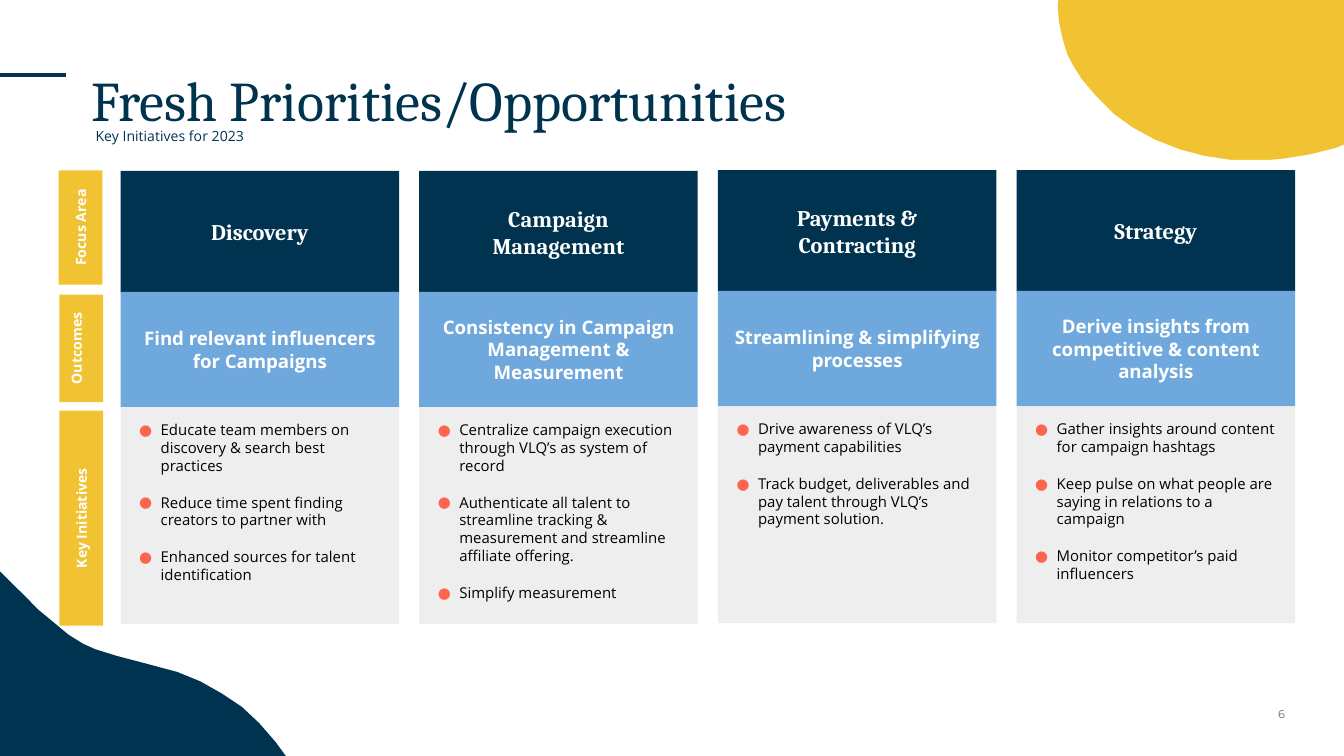
from dataclasses import dataclass

from lxml.etree import SubElement
from pptx import Presentation
from pptx.dml.color import RGBColor
from pptx.enum.shapes import MSO_CONNECTOR, MSO_SHAPE
from pptx.enum.text import MSO_ANCHOR, MSO_AUTO_SIZE, PP_ALIGN
from pptx.oxml.ns import qn
from pptx.util import Pt


@dataclass(frozen=True)
class Theme:
    """Colours, fonts and type sizes of the slide."""
    navy: str = "003350"
    ink: str = "00334E"
    yellow: str = "F1C232"
    blue: str = "6FA8DC"
    pale: str = "EEEEEE"
    white: str = "FFFFFF"
    black: str = "000000"
    grey: str = "666666"
    coral: str = "FF654E"
    serif: str = "Cambria"
    sans: str = "Open Sans"
    number_font: str = "Montserrat"
    title: float = 30
    focus: float = 12
    outcome: float = 10
    initiative: float = 8
    label: float = 7.5
    number: float = 6


THEME = Theme()

NAVY_WAVE = [
    (170.6, 453.6), (167, 438), (161, 419), (155, 407.5), (147.6, 397.4), (138.9, 387.4),
    (129.6, 378.7), (118.8, 371.5), (107.3, 365), (95, 360), (79, 355.7), (62.6, 351.4),
    (51, 347.8), (44.6, 344.9), (36.7, 340), (29.5, 334), (20.9, 326.9), (14.4, 320.4),
    (1.4, 307.4), (-8.6, 297.4), (-17.3, 289.4), (-28.8, 281.5), (-41, 275), (-54, 270.7),
    (-67, 269.3), (-78.5, 271.4), (-91, 277), (-102, 286.6), (-112, 300.2), (-121, 316.8),
    (-131, 343.4), (-164, 442), (-170, 464.4), (-171.4, 481), (-168, 498), (-158, 512),
    (-141, 525), (-118, 534), (-91, 542), (-45, 551.5), (6.5, 558.7), (45, 561),
    (74, 559), (103, 553), (129, 543), (150, 528), (164, 511), (171, 486), (172, 470),
]
YELLOW_BLOB = [
    (767.5, -72), (750, -63), (738, -55), (710, -46.8), (684, -43), (651, -42.5),
    (623, -43), (605, -42), (595, -38), (585.4, -33), (578, -26), (572.4, -17.3),
    (569.5, -10.8), (568, -6.5), (566.6, 2.9), (567.4, 12.2), (569.5, 21.6), (571.7, 28.8),
    (574.6, 34.6), (579.6, 42.5), (587.5, 51.8), (597, 61.2), (607, 68.4), (619, 74.9),
    (632, 80), (645, 83.5), (659.5, 85.7), (673, 86.4), (687.6, 85), (701.3, 82.8),
    (715.7, 79.2), (728.6, 74), (742, 68), (754, 61.9), (769, 49.7), (780, 38),
    (790, 25), (797, 12), (802, -2), (804, -17), (804, -31), (800, -45), (792, -58),
    (781, -68.4),
]

COLUMNS = [
    (["Discovery"], "Find relevant influencers for Campaigns", [
        "Educate team members on discovery & search best practices",
        "Reduce time spent finding creators to partner with",
        "Enhanced sources for talent identification"]),
    (["Campaign", "Management"], "Consistency in Campaign Management & Measurement", [
        "Centralize campaign execution through VLQ’s as system of record",
        "Authenticate all talent to streamline tracking & measurement and streamline "
        "affiliate offering.",
        "Simplify measurement"]),
    (["Payments &", "Contracting"], "Streamlining & simplifying processes", [
        "Drive awareness of VLQ’s payment capabilities",
        "Track budget, deliverables and pay talent through VLQ’s payment solution."]),
    (["Strategy"], "Derive insights from competitive & content analysis", [
        "Gather insights around content for campaign hashtags",
        "Keep pulse on what people are saying in relations to a campaign",
        "Monitor competitor’s paid influencers"]),
]
ROW_LABELS = [
    ("Focus Area", 43.2, 121.9, 61.2, MSO_ANCHOR.MIDDLE, MSO_AUTO_SIZE.NONE),
    ("Outcomes", 43.6, 186.6, 57.6, MSO_ANCHOR.TOP, MSO_AUTO_SIZE.SHAPE_TO_FIT_TEXT),
    ("Key Initiatives", 43.6, 277.6, 115.2, MSO_ANCHOR.MIDDLE, MSO_AUTO_SIZE.NONE),
]


def paint(shape, color):
    """Give a shape a flat fill without line or shadow."""
    shape.shadow.inherit = False
    shape.fill.solid()
    shape.fill.fore_color.rgb = RGBColor.from_string(color)
    shape.line.fill.background()


def add_bullet(paragraph):
    """Add a hanging coral bullet to a paragraph."""
    properties = paragraph._p.get_or_add_pPr()
    properties.set("marL", str(Pt(14.4)))
    properties.set("indent", str(Pt(-11.5)))
    bullet_color = SubElement(properties, qn("a:buClr"))
    SubElement(bullet_color, qn("a:srgbClr")).set("val", THEME.coral)
    SubElement(properties, qn("a:buFont")).set("typeface", THEME.sans)
    SubElement(properties, qn("a:buChar")).set("char", "●")


def write(shape, lines, size, font, color, bold=False, align=PP_ALIGN.LEFT,
          anchor=MSO_ANCHOR.TOP, spacing=None, bullets=False):
    """Fill a shape with one paragraph per line."""
    frame = shape.text_frame
    frame.word_wrap = True
    frame.vertical_anchor = anchor
    frame.margin_left = frame.margin_right = frame.margin_top = frame.margin_bottom = Pt(7.2)
    for index, line in enumerate(lines):
        paragraph = frame.add_paragraph() if index else frame.paragraphs[0]
        paragraph.alignment = align
        if spacing:
            paragraph.line_spacing = spacing
        if bullets:
            add_bullet(paragraph)
            if index:
                paragraph.space_before = Pt(10)
        run = paragraph.add_run()
        run.text = line
        run.font.size = Pt(size)
        run.font.name = font
        run.font.bold = bold
        run.font.color.rgb = RGBColor.from_string(color)


def add_panel(slide, left, top, width, height, color):
    """Add a plain filled rectangle."""
    panel = slide.shapes.add_shape(
        MSO_SHAPE.RECTANGLE, Pt(left), Pt(top), Pt(width), Pt(height))
    paint(panel, color)
    return panel


def add_blob(slide, outline, color):
    """Add a filled organic outline."""
    start, *rest = [(Pt(x), Pt(y)) for x, y in outline]
    builder = slide.shapes.build_freeform(*start)
    builder.add_line_segments(rest, close=True)
    paint(builder.convert_to_shape(), color)


def add_text(slide, left, top, width, height, line, size, font, color, **style):
    """Add a text box holding one line."""
    box = slide.shapes.add_textbox(Pt(left), Pt(top), Pt(width), Pt(height))
    write(box, [line], size, font, color, **style)


def add_heading(slide, left, top, width):
    """Add the title, its subtitle and the accent rule."""
    add_text(slide, left, top, width, 53.3, "Fresh Priorities/Opportunities",
             THEME.title, THEME.serif, THEME.ink, spacing=1.15)
    add_text(slide, left + 2.3, top + 41.2, 335.5, 22.3, "Key Initiatives for 2023",
             THEME.label, THEME.sans, THEME.ink)
    rule = slide.shapes.add_connector(
        MSO_CONNECTOR.STRAIGHT, Pt(0), Pt(top + 17.8), Pt(35.2), Pt(top + 17.8))
    rule.line.color.rgb = RGBColor.from_string(THEME.ink)
    rule.line.width = Pt(2.25)
    SubElement(rule._element.spPr, qn("a:effectLst"))


def add_row_label(slide, center_x, center_y, length, thickness, text, anchor, fit):
    """Add a tag that reads upwards beside its row."""
    tag = add_panel(slide, center_x - length / 2, center_y - thickness / 2,
                    length, thickness, THEME.yellow)
    tag.rotation = 270
    write(tag, [text], THEME.label, THEME.sans, THEME.white, bold=True,
          align=PP_ALIGN.CENTER, anchor=anchor)
    tag.text_frame.auto_size = fit


def add_column(slide, left, top, width, focus, outcome, initiatives):
    """Stack focus area, outcome and initiatives in one column."""
    centered = dict(bold=True, align=PP_ALIGN.CENTER, anchor=MSO_ANCHOR.MIDDLE)
    focus_panel = add_panel(slide, left, top, width, 65.2, THEME.navy)
    write(focus_panel, focus, THEME.focus, THEME.serif, THEME.white, **centered)
    outcome_panel = add_panel(slide, left, top + 64.8, width, 61.8, THEME.blue)
    write(outcome_panel, [outcome], THEME.outcome, THEME.sans, THEME.white, **centered)
    initiative_panel = add_panel(slide, left, top + 126.6, width, 116.2, THEME.pale)
    write(initiative_panel, initiatives, THEME.initiative, THEME.sans, THEME.black,
          bullets=True)


def main():
    """Build and save the slide."""
    deck = Presentation()
    deck.slide_width, deck.slide_height = Pt(720), Pt(405)
    slide = deck.slides.add_slide(deck.slide_layouts[6])
    add_blob(slide, NAVY_WAVE, THEME.navy)
    add_blob(slide, YELLOW_BLOB, THEME.yellow)
    add_heading(slide, 41.8, 22.3, 596.9)
    add_panel(slide, 27.4, 85.7, 670.3, 244.1, THEME.white)
    for index, column in enumerate(COLUMNS):
        top = 91.6 if index < 2 else 91.1
        add_column(slide, 64.6 + 160 * index, top, 149.2, *column)
    for text, center_x, center_y, length, anchor, fit in ROW_LABELS:
        add_row_label(slide, center_x, center_y, length, 23.4, text, anchor, fit)
    add_text(slide, 652.3, 367.2, 43.2, 31, "6", THEME.number, THEME.number_font,
             THEME.grey, align=PP_ALIGN.RIGHT, anchor=MSO_ANCHOR.MIDDLE)
    deck.save("out.pptx")


if __name__ == "__main__":
    main()
